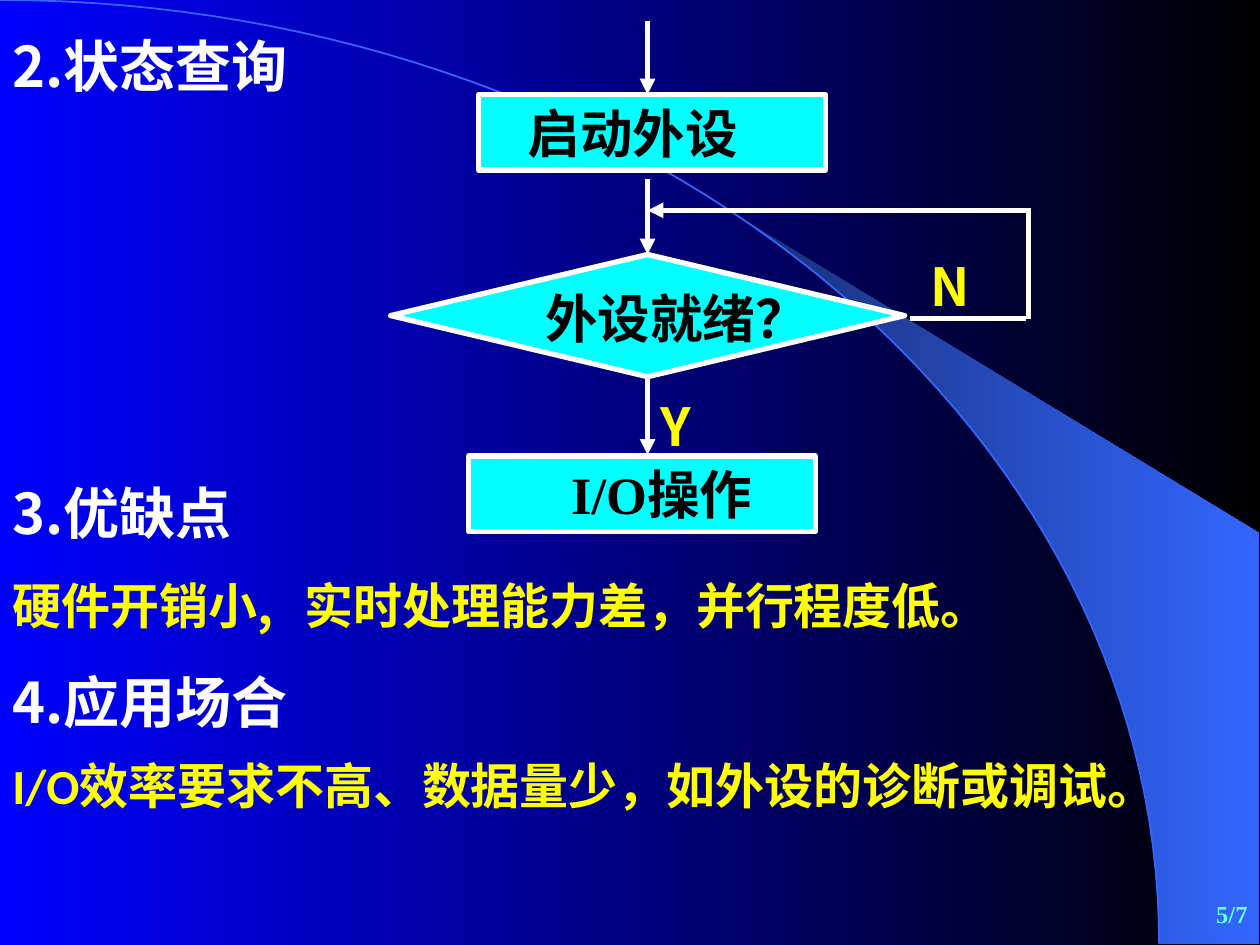
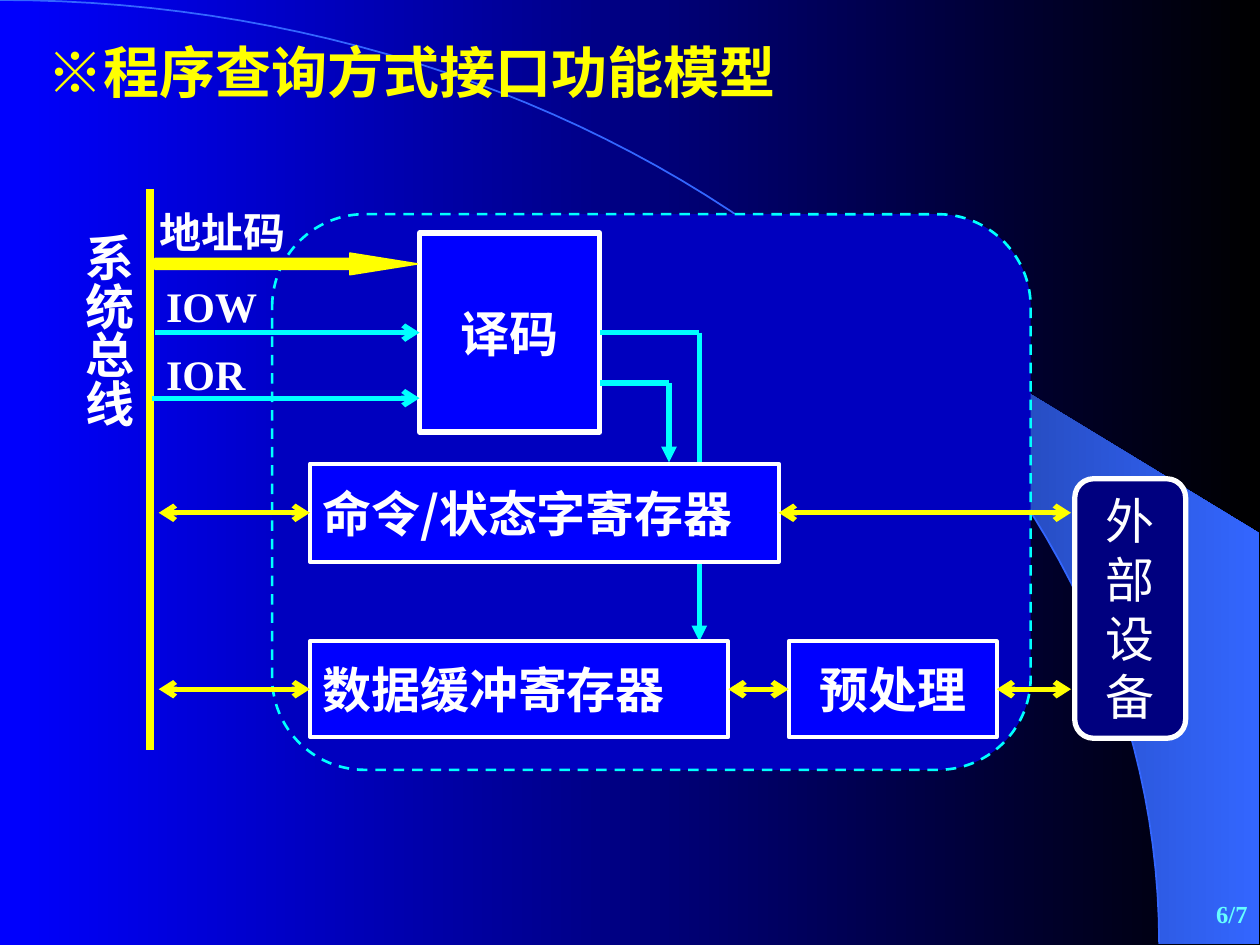
import math
from dataclasses import dataclass
from lxml import etree
from pptx import Presentation
from pptx import util as u
from pptx.dml.color import RGBColor
from pptx.enum import dml, shapes, text
from pptx.oxml.ns import qn

COLS, ROWS = 100, 75
CELL = u.Inches(0.1)


@dataclass(frozen=True)
class Theme:
    blue: str = "0000FF"
    black: str = "000000"
    white: str = "FFFFFF"
    yellow: str = "FFFF00"
    cyan: str = "00FFFF"
    pale_cyan: str = "66FFFF"
    panel: str = "0000BF"
    navy: str = "00007F"
    arc: str = "3366FF"
    wedge: str = "182F76"
    sans: str = "Noto Sans CJK SC"
    serif: str = "Times New Roman"
    latin: str = "Calibri"
    heading: int = 32
    step: int = 30
    body: int = 28
    signal: int = 24
    page: int = 14


T = Theme()
LEFT, CENTER, RIGHT = text.PP_ALIGN.LEFT, text.PP_ALIGN.CENTER, text.PP_ALIGN.RIGHT
TOP, MIDDLE = text.MSO_ANCHOR.TOP, text.MSO_ANCHOR.MIDDLE
SHAPE = shapes.MSO_SHAPE


def cells(*counts):
    return [u.Emu(round(count * CELL)) for count in counts]


def rgb(color):
    return RGBColor.from_string(color)


def fade(fill, start, end):
    fill.gradient()
    fill.gradient_angle = 0
    for stop, color in zip(fill.gradient_stops, (start, end)):
        stop.color.rgb = rgb(color)


def stroke(line, color, width):
    line.color.rgb = rgb(color)
    line.width = u.Pt(width)


def write(frame, content, size, color, font=T.sans, bold=True, align=LEFT,
          anchor=TOP, inset=(1, 0.5), lead=0, wrap=True):
    frame.word_wrap = wrap
    frame.vertical_anchor = anchor
    across, down = inset
    frame.margin_left, frame.margin_right = cells(across + lead, across)
    frame.margin_top = frame.margin_bottom = cells(down)[0]
    frame.text = content
    for paragraph in frame.paragraphs:
        paragraph.alignment = align
        for run in paragraph.runs:
            run.font.size = u.Pt(size)
            run.font.bold = bold
            run.font.color.rgb = rgb(color)
            run.font.name = font
            etree.SubElement(run.font._element, qn("a:ea"), typeface=T.sans)


def label(slide, area, content, size, color, **style):
    frame = slide.shapes.add_textbox(*cells(*area)).text_frame
    write(frame, content, size, color, **style)
    return frame


def block(slide, kind, area, fill, edge, width):
    shape = slide.shapes.add_shape(kind, *cells(*area))
    shape.shadow.inherit = False
    shape.fill.solid()
    shape.fill.fore_color.rgb = rgb(fill)
    stroke(shape.line, edge, width)
    return shape


def step_box(slide, kind, area, content, **style):
    box = block(slide, kind, area, T.cyan, T.white, 3)
    write(box.text_frame, content, T.step, T.black, font=T.serif, **style)
    return box


def register(slide, area, content, align=LEFT, font=T.serif, width=2.25):
    box = block(slide, SHAPE.RECTANGLE, area, T.blue, T.white, width)
    write(box.text_frame, content, T.body, T.white, font=font, align=align,
          anchor=MIDDLE, wrap=False)
    return box


def wire(slide, start, end, color, width=3, head=None, tail=None,
         source=None, target=None):
    link = slide.shapes.add_connector(
        shapes.MSO_CONNECTOR.STRAIGHT, *cells(*start, *end))
    if source:
        link.begin_connect(*source)
    if target:
        link.end_connect(*target)
    stroke(link.line, color, width)
    properties = link.element.spPr
    outline = properties.find(qn("a:ln"))
    for tag, arrow in (("a:headEnd", head), ("a:tailEnd", tail)):
        if arrow:
            etree.SubElement(outline, qn(tag), type=arrow)
    etree.SubElement(properties, qn("a:effectLst"))


def exchange(slide, start, end, **joins):
    wire(slide, start, end, T.yellow, head="arrow", tail="arrow", **joins)


def outline(slide, points, close):
    placed = [cells(*point) for point in points]
    builder = slide.shapes.build_freeform(*placed[0])
    builder.add_line_segments(placed[1:], close=close)
    shape = builder.convert_to_shape()
    shape.shadow.inherit = False
    return shape


def ellipse_arc(start, count=60):
    angles = (start + (math.pi / 2 - start) * i / count for i in range(count + 1))
    return [(92 * math.sin(a), 74.9 * (1 - math.cos(a))) for a in angles]


def new_slide(deck, page):
    slide = deck.slides.add_slide(deck.slide_layouts[6])
    fade(slide.background.fill, T.blue, T.black)
    beam = outline(slide, ellipse_arc(math.asin(0.64)) + [(99.9, 74.9), (99.9, 42.3)], True)
    fade(beam.fill, T.wedge, T.arc)
    beam.line.fill.background()
    horizon = outline(slide, ellipse_arc(0), False)
    horizon.fill.background()
    stroke(horizon.line, T.arc, 1)
    label(slide, (79.2, 70, 20.8, 5), f"{page}/7", T.page, T.pale_cyan,
          font=T.serif, align=RIGHT, anchor=MIDDLE)
    return slide


def status_query(deck):
    slide = new_slide(deck, 5)
    for row, heading in ((2, "2.状态查询"), (37.5, "3.优缺点"), (52.5, "4.应用场合")):
        label(slide, (0, row, 46.7, 6.4), heading, T.heading, T.white)
    for area, remark, font in (
        ((0, 45.2, 30.4, 5.7), "硬件开销小,", T.sans),
        ((23.2, 45.2, 64.3, 5.7), "实时处理能力差，并行程度低。", T.sans),
        ((0, 59.5, 96.5, 5.7), "I/O效率要求不高、数据量少，如外设的诊断或调试。", T.latin),
    ):
        label(slide, area, remark, T.body, T.yellow, font=font)

    axis = 51.4
    step_box(slide, SHAPE.RECTANGLE, (38, 7.5, 27.5, 6), "启动外设", lead=2.9)
    ready = block(slide, SHAPE.FLOWCHART_DECISION, (31, 20.2, 40.8, 9.7), T.cyan, T.white, 3)
    label(slide, (35.2, 22.2, 35, 6), "外设就绪？", T.step, T.black,
          font=T.serif, align=CENTER, lead=2)
    step_box(slide, SHAPE.RECTANGLE, (37.2, 36.2, 27.5, 6), "I/O操作",
             align=CENTER, lead=3.1)

    for top, bottom, joins in (
        (1.7, 7.5, {}),
        (14.2, 20.2, {"target": (ready, 0)}),
        (29.9, 36.1, {"source": (ready, 2)}),
    ):
        wire(slide, (axis, top), (axis, bottom), T.white, tail="triangle", **joins)
    wire(slide, (72.2, 25.3), (81.4, 25.3), T.white)
    wire(slide, (81.6, 25.3), (81.6, 16.5), T.white)
    wire(slide, (81.4, 16.7), (axis, 16.7), T.white, tail="triangle")
    for col, row, answer in ((72.9, 19.7, "N"), (axis, 30.8, "Y")):
        label(slide, (col, row, 7.5, 6), answer, T.step, T.yellow)


def interface_model(deck):
    slide = new_slide(deck, 6)
    interface = block(slide, SHAPE.ROUNDED_RECTANGLE, (21.6, 17, 60.2, 44.1), T.panel, T.cyan, 1.5)
    interface.line.dash_style = dml.MSO_LINE.DASH
    label(slide, (2.8, 2.5, 70, 6.4), "※程序查询方式接口功能模型", T.heading, T.yellow)

    decoder = register(slide, (33.3, 18.5, 14.3, 15.8), "译码", align=CENTER, width=3)
    wire(slide, (47.6, 30.4), (53.1, 30.4), T.cyan)
    wire(slide, (53.1, 30.4), (53.1, 36.7), T.cyan, tail="triangle")
    wire(slide, (47.6, 26.4), (55.5, 26.4), T.cyan, source=(decoder, 3))
    wire(slide, (55.5, 26.4), (55.5, 50.9), T.cyan, tail="triangle")
    command = register(slide, (24.6, 36.8, 37.2, 7.8), "命令/状态字寄存器", font=T.sans)
    data = register(slide, (24.6, 50.9, 33.2, 7.6), "数据缓冲寄存器")
    preprocess = register(slide, (62.6, 50.9, 16.5, 7.6), "预处理", align=CENTER)

    bus = 11.9
    wire(slide, (bus, 15), (bus, 59.5), T.yellow, width=4.5)
    bus_name = label(slide, (4.8, 17.5, 6.6, 33.4), "系统总线", T.body, T.white,
                     font=T.serif, align=CENTER, inset=(0.5, 1))
    bus_name._txBody.bodyPr.set("vert", "eaVert")
    for row, signal in ((15.9, "地址码"), (21.8, "IOW"), (27.2, "IOR")):
        label(slide, (12.2 if signal.isascii() else 11.7, row, 16.3, 5), signal,
              T.signal, T.white, font=T.serif)
    address = block(slide, SHAPE.RIGHT_ARROW, (12.3, 20.1, 20.8, 1.7), T.yellow, T.yellow, 1)
    address.adjustments[1] = 3.13
    wire(slide, (12.3, 26.4), (33.3, 26.4), T.cyan, tail="arrow", target=(decoder, 1))
    wire(slide, (12.1, 31.6), (33.3, 31.6), T.cyan, tail="arrow")

    device = block(slide, SHAPE.ROUNDED_RECTANGLE, (85.3, 38, 8.8, 20.6), T.navy, T.white, 3)
    device.adjustments[0] = 0.17
    write(device.text_frame, "\n".join("外部设备"), T.body, T.white, bold=False, align=CENTER)

    command_row, data_row = 40.7, 54.7
    for row, box in ((command_row, command), (data_row, data)):
        exchange(slide, (12.6, row), (24.6, row), target=(box, 1))
    for row, col, box in ((command_row, 61.8, command), (data_row, 79.1, preprocess)):
        exchange(slide, (col, row), (85, row), source=(box, 3))
    exchange(slide, (57.8, data_row), (62.6, data_row), source=(data, 3), target=(preprocess, 1))


def main():
    deck = Presentation()
    deck.slide_width, deck.slide_height = cells(COLS, ROWS)
    status_query(deck)
    interface_model(deck)
    deck.save("out.pptx")


if __name__ == "__main__":
    main()
